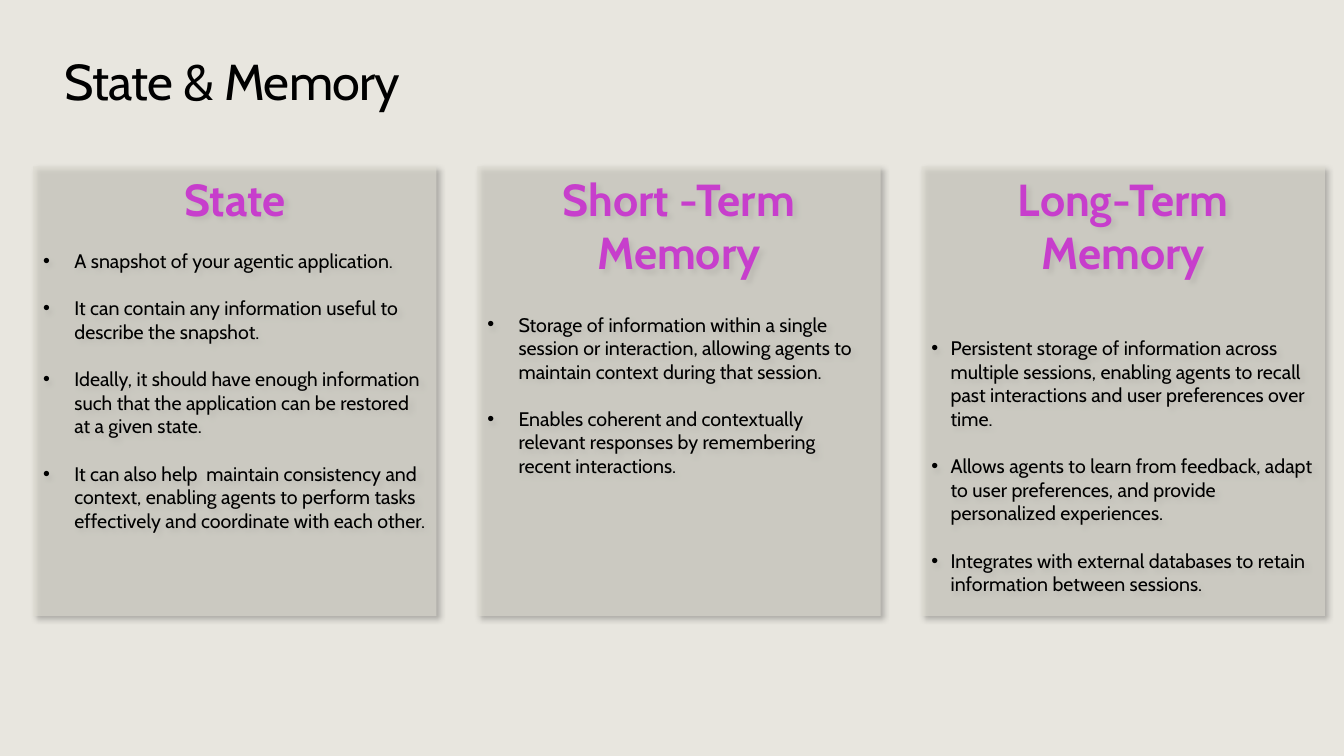
from lxml import etree
from pptx import Presentation
from pptx.dml.color import RGBColor
from pptx.enum.shapes import MSO_SHAPE
from pptx.enum.text import MSO_ANCHOR, PP_ALIGN
from pptx.oxml.ns import qn
from pptx.util import Inches, Pt

RECT = MSO_SHAPE.RECTANGLE
TOP = MSO_ANCHOR.TOP
LEFT, CENTER = PP_ALIGN.LEFT, PP_ALIGN.CENTER

FONT = "Cabin"
BACK, PANEL, PINK, BLACK = "E8E6DF", "DEDCD2", "C73ECC", "000000"
TITLE = "State & Memory"
# heading, points below the heading, bullet indent in inches, bullets
CARDS = [
    ("State", 17, 0.31, [
        "A snapshot of your agentic application.",
        "It can contain any information useful to describe the snapshot.",
        "Ideally, it should have enough information such that the application "
        "can be restored at a given state.",
        "It can also help  maintain consistency and context, enabling agents "
        "to perform tasks effectively and coordinate with each other.",
    ]),
    ("Short -Term Memory", 24, 0.31, [
        "Storage of information within a single session or interaction, "
        "allowing agents to maintain context during that session.",
        "Enables coherent and contextually relevant responses by remembering "
        "recent interactions.",
    ]),
    ("Long-Term Memory", 41, 0.19, [
        "Persistent storage of information across multiple sessions, enabling "
        "agents to recall past interactions and user preferences over time.",
        "Allows agents to learn from feedback, adapt to user preferences, and "
        "provide personalized experiences.",
        "Integrates with external databases to retain information between "
        "sessions.",
    ]),
]
X, Y, WIDE, HIGH, STEP = 0.33, 1.65, 4, 4.46, 4.405
GAP = 17


def rgb(code):
    return RGBColor.from_string(code)


def add(parent, tag, **attrs):
    node = etree.SubElement(parent, qn(tag))
    for key, value in attrs.items():
        node.set(key, str(value))
    return node


def style(para, size, color, bold=False, align=LEFT):
    para.alignment = align
    font = para.font
    font.name, font.size, font.bold = FONT, Pt(size), bold
    font.color.rgb = rgb(color)


def bullet(para, indent):
    props = para._p.get_or_add_pPr()
    props.set("marL", str(Inches(indent)))
    props.set("indent", str(-Inches(indent)))
    add(props, "a:buFont", typeface="Arial")
    add(props, "a:buChar", char="•")


def shade(shape):
    """Give the shape a soft shadow to the lower right."""
    shape.shadow.inherit = False
    effects = shape._element.spPr.find(qn("a:effectLst"))
    outer = add(effects, "a:outerShdw", blurRad=Pt(4), dist=Pt(3),
                dir=45 * 60000, algn="tl", rotWithShape=0)
    add(add(outer, "a:srgbClr", val=BLACK), "a:alpha", val=40000)


def add_card(slide, left, head, space, indent, points):
    card = slide.shapes.add_shape(
        RECT, Inches(left), Inches(Y), Inches(WIDE), Inches(HIGH))
    card.fill.solid()
    card.fill.fore_color.rgb = rgb(PANEL)
    tone = card._element.spPr.find(qn("a:solidFill"))[0]
    add(tone, "a:alpha", val=59000)
    card.line.fill.background()
    shade(card)
    frame = card.text_frame
    frame.word_wrap = True
    frame.vertical_anchor = TOP
    para = frame.paragraphs[0]
    para.text = head
    style(para, 32, PINK, True, CENTER)
    for i, point in enumerate(points):
        para = frame.add_paragraph()
        para.text = point
        para.space_before = Pt(GAP if i else space)
        bullet(para, indent)
        style(para, 14, BLACK)


def add_title(slide):
    box = slide.shapes.add_textbox(
        Inches(0.64), Inches(0.5), Inches(12.05), Inches(0.61))
    frame = box.text_frame
    frame.word_wrap = True
    frame.margin_left = frame.margin_right = 0
    frame.margin_top = frame.margin_bottom = 0
    para = frame.paragraphs[0]
    para.text = TITLE
    style(para, 36, BLACK)
    para.runs[0]._r.get_or_add_rPr().set("spc", "-50")


def main():
    deck = Presentation()
    deck.slide_width, deck.slide_height = Inches(13.33), Inches(7.5)
    slide = deck.slides.add_slide(deck.slide_layouts[6])
    slide.background.fill.solid()
    slide.background.fill.fore_color.rgb = rgb(BACK)
    add_title(slide)
    for i, card in enumerate(CARDS):
        add_card(slide, X + i * STEP, *card)
    deck.save("out.pptx")


if __name__ == "__main__":
    main()
